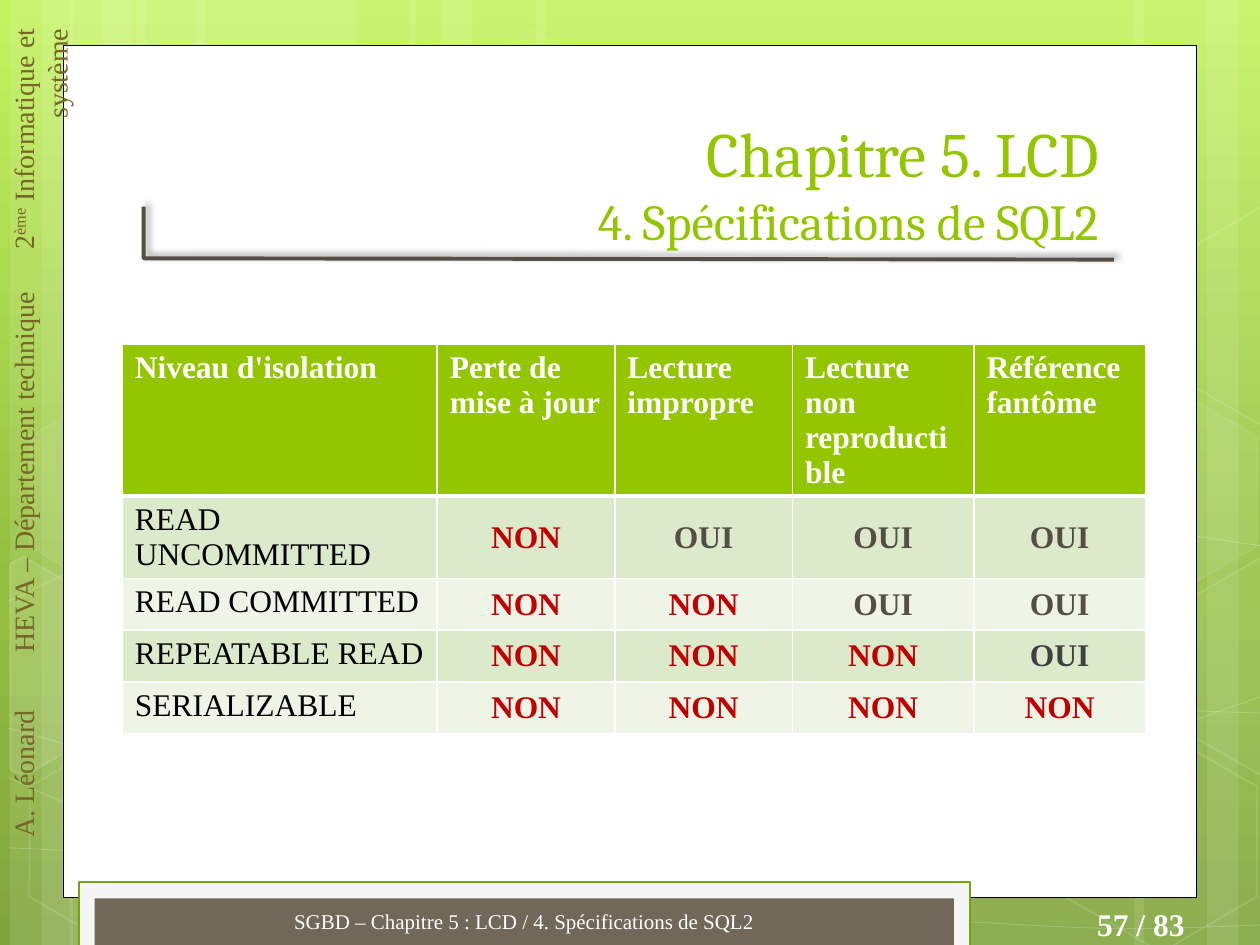
import copy
import math
from lxml import etree
from pptx import Presentation, util as u
from pptx.dml.color import RGBColor
from pptx.enum import shapes, text
from pptx.oxml import parse_xml
from pptx.oxml.ns import qn

NS = 'xmlns:a="http://schemas.openxmlformats.org/drawingml/2006/main"'
SERIF, TITLE_FONT = "Times New Roman", "Cambria"
WIDTH, HEIGHT = 10, 7.5
COLOURS = {
    "white": "FFFFFF", "black": "000000", "green": "94C600", "border": "74A510",
    "panel": "F5F5F5", "footer": "71685A", "side": "776627", "dark": "554E44",
    "red": "C00000", "grey": "404040", "band1": "DCEACC", "band2": "EEF5E7",
    "sky": "C3F35F", "meadow": "93BF3F", "moss": "81A53E",
}

# Content
TITLE = [("Chapitre 5. LCD", 36), ("4. Spécifications de SQL2", 28.8)]
FOOTER = "SGBD – Chapitre 5 : LCD / 4. Spécifications de SQL2"
PAGE = "57 / 83"
SUPERSCRIPT = "ème"
SIDE_TEXTS = [  # top, height, runs
    (5.54, 1.3, ["A. Léonard"]),
    (2.22, 3.2, ["HEVA – Département technique"]),
    (0.13, 2.05, ["2", SUPERSCRIPT, " Informatique et système"]),
]
HEADER = ["Niveau d'isolation", "Perte de mise à jour", "Lecture impropre",
          "Lecture non reproductible", "Référence fantôme"]
LEVELS = {
    "READ UNCOMMITTED": ["NON", "OUI", "OUI", "OUI"],
    "READ COMMITTED": ["NON", "NON", "OUI", "OUI"],
    "REPEATABLE READ": ["NON", "NON", "NON", "OUI"],
    "SERIALIZABLE": ["NON", "NON", "NON", "NON"],
}
ANSWER_COLOURS = {"NON": "red", "OUI": "dark"}
SPECIAL_COLOURS = {("REPEATABLE READ", 4): "grey"}
COLUMN_WIDTHS = [2.5, 1.41, 1.41, 1.44, 1.36]
ROW_HEIGHT = 0.41

# Background pattern
GRADIENT = [(0, "sky"), (62, "meadow"), (100, "moss")]
STRIPE_GROUPS = [(0.08, 1.75), (0.55, 1.75), (3.25, 3.08)]  # left, width of the widest stripe
RIGHT_STRIPES = [(7.33, 1.75), (9.58, 0.5), (9, 0.83)]
CURVE_KNOTS = {
    "low rise": [(0.07, 6.73), (1.9, 6.78), (4.58, 6.65), (7.92, 6.17), (10.07, 5.51)],
    "middle arch": [(0.07, 4.77), (1.21, 4.31), (3.47, 3.87), (6.54, 3.87), (10.07, 4.34)],
    "corner": [(0.06, 6.17), (1.7, 6.89), (3.34, 7.49)],
    "long fall": [(0.07, 5.78), (3.57, 6.73), (6.28, 7.18), (8.53, 7.36), (10.07, 7.34)],
    "high rise": [(2.42, 7.49), (3.02, 6.91), (3.88, 6.39), (4.7, 6.09), (6.08, 5.78),
                  (7.94, 5.62), (10.06, 5.66)],
}
# Honeycomb: rows are counted upwards from the bottom, odd rows sit half a column aside
HEXAGON_WIDTH, HEXAGON_HEIGHT = 1.75, 1.52
COLUMN_STEP, ROW_STEP, BOTTOM_TOP = 1.62, 1.39, 5.92
LEFT_COMB, RIGHT_COMB = 0.12, 8.34
HEXAGONS = [  # comb, column, row, fill opacity, line opacity
    (LEFT_COMB, 2, 4, 4, 8), (LEFT_COMB, 3, 0, 6, 12), (LEFT_COMB, 0, 0, 0, 12),
    (LEFT_COMB, 0, 2, 7, 8), (LEFT_COMB, 1, 0, 0, 12), (RIGHT_COMB, -0.5, 1, 10, 12),
    (RIGHT_COMB, 0, 0, 0, 12), (RIGHT_COMB, 0, 2, 7, 8),
]
CUT_HEXAGONS = [  # comb, column, row, x of the cut, side that stays, fill opacity
    (LEFT_COMB, -0.5, 1, 0.08, 1, 10), (RIGHT_COMB, 0.5, 1, 10.09, -1, 4),
    (RIGHT_COMB, 0.5, 3, 10.09, -1, 0),
]


def inches(*values):
    return [u.Inches(value) for value in values]


def rgb(name):
    return RGBColor.from_string(COLOURS[name])


def set_colour(fill, name, owner, opacity):
    """Fill with a named colour, or none; owner is the XML element that holds the fill."""
    if name is None or opacity == 0:
        fill.background()
        return
    fill.solid()
    fill.fore_color.rgb = rgb(name)
    if opacity < 100:
        colour = owner.find(qn("a:solidFill"))[0]
        etree.SubElement(colour, qn("a:alpha")).set("val", str(opacity * 1000))


def paint(shape, fill=None, line=None, width=1, fill_opacity=100, line_opacity=100):
    shape.shadow.inherit = False
    properties = shape._element.spPr
    set_colour(shape.fill, fill, properties, fill_opacity)
    shape.line.width = u.Pt(width)
    set_colour(shape.line.fill, line, properties.find(qn("a:ln")), line_opacity)


def write(paragraph, content, size=18, colour="white", font=SERIF, bold=False, align="LEFT"):
    paragraph.alignment = text.PP_ALIGN[align]
    run = paragraph.add_run()
    run.text = content
    run.font.size, run.font.name, run.font.bold = u.Pt(size), font, bold
    run.font.color.rgb = rgb(colour)
    return run


def add_box(slide, place, anchor="TOP"):
    frame = slide.shapes.add_textbox(*inches(*place)).text_frame
    frame.word_wrap = True
    frame.vertical_anchor = text.MSO_ANCHOR[anchor]
    return frame


def add_preset(slide, kind, place, **look):
    shape = slide.shapes.add_shape(shapes.MSO_SHAPE[kind], *inches(*place))
    paint(shape, **look)
    return shape


def add_outline(slide, points, close=False, **look):
    builder = slide.shapes.build_freeform(*inches(*points[0]))
    builder.add_line_segments([inches(*point) for point in points[1:]], close=close)
    shape = builder.convert_to_shape()
    paint(shape, **look)
    return shape


def add_curve(slide, knots, **look):
    """Draw a smooth line: each handle follows the direction between a knot's neighbours."""
    ends = [knots[0], *knots, knots[-1]]
    points = [knots[0]]
    for before, start, end, after in zip(ends, ends[1:], ends[2:], ends[3:]):
        points.append([s + (e - b) / 6 for b, s, e in zip(before, start, end)])
        points.append([e - (a - s) / 6 for s, e, a in zip(start, end, after)])
        points.append(end)
    shape = add_outline(slide, points, **look)
    path = next(shape._element.iter(qn("a:path")))
    segments = path.findall(qn("a:lnTo"))
    for first in range(0, len(segments), 3):
        bezier = etree.SubElement(path, qn("a:cubicBezTo"))
        for segment in segments[first:first + 3]:
            bezier.append(segment[0])
            path.remove(segment)


def comb_place(comb, column, row):
    return comb + column * COLUMN_STEP, BOTTOM_TOP - row * ROW_STEP


def cut_hexagon(left, top, cut, side):
    """Return the corners of an upright hexagon whose part beyond x = cut is removed."""
    radius = HEXAGON_WIDTH / 2
    x, y = left + radius, top + HEXAGON_HEIGHT / 2
    far = x + side * radius * math.cos(math.pi / 6)
    cut_half = radius - abs(cut - x) / math.sqrt(3)
    upper = [(cut, cut_half), (x, radius), (far, radius / 2)]
    return [(px, y - half) for px, half in upper] + [(px, y + half) for px, half in reversed(upper)]


def draw_gradient(slide):
    slide.background.fill.gradient()
    gradient = next(slide.background._cSld.iter(qn("a:gradFill")))
    for child in list(gradient):
        gradient.remove(child)
    stops = "".join(f'<a:gs pos="{position * 1000}"><a:srgbClr val="{COLOURS[name]}"/></a:gs>'
                    for position, name in GRADIENT)
    gradient.append(parse_xml(f"<a:gsLst {NS}>{stops}</a:gsLst>"))
    gradient.append(parse_xml(f'<a:lin {NS} ang="5400000" scaled="0"/>'))


def draw_pattern(slide):
    stripes = [stripe for left, widest in STRIPE_GROUPS
               for stripe in ((left + 1, widest), (left, 0.5), (left + 0.25, 0.83))]
    for left, width in stripes + RIGHT_STRIPES:
        add_preset(slide, "RECTANGLE", (left, 0, width, HEIGHT), fill="white", fill_opacity=10)
    for knots in CURVE_KNOTS.values():
        add_curve(slide, knots, line="white", width=0.5, line_opacity=20)
    for comb, column, row, fill_opacity, line_opacity in HEXAGONS:
        place = (*comb_place(comb, column, row), HEXAGON_WIDTH, HEXAGON_HEIGHT)
        hexagon = add_preset(slide, "HEXAGON", place, fill="white", line="white",
                             fill_opacity=fill_opacity, line_opacity=line_opacity)
        hexagon.rotation = 30
        hexagon.adjustments[0] = 0.285
    for comb, column, row, cut, side, opacity in CUT_HEXAGONS:
        corners = cut_hexagon(*comb_place(comb, column, row), cut, side)
        add_outline(slide, corners, close=True, fill="white", line="white",
                    fill_opacity=opacity, line_opacity=12)


def draw_frame(slide):
    add_preset(slide, "RECTANGLE", (0.5, 0.36, 9, 6.76), fill="white", line="black", width=0.5)
    add_preset(slide, "RECTANGLE", (0.63, 7, 7.07, 0.51), fill="panel", line="border", width=1.25)
    add_preset(slide, "RECTANGLE", (0.75, 7.13, 6.82, 0.38), fill="footer")
    for top, height, runs in SIDE_TEXTS:
        frame = add_box(slide, (0, top, 0.47, height))
        frame._txBody.bodyPr.set("vert", "vert270")
        for content in runs:
            run = write(frame.paragraphs[0], content, size=16, colour="side", align="RIGHT")
            if content == SUPERSCRIPT:
                run.font._element.set("baseline", "30000")
    write(add_box(slide, (8.21, 7.13, 1.29, 0.4)).paragraphs[0], PAGE, bold=True, align="RIGHT")


def draw_title(slide):
    corner = add_outline(slide, [(1.14, 1.64), (1.14, 2.05), (8.84, 2.06)], line="dark", width=2.25)
    corner._element.spPr.find(qn("a:effectLst")).append(parse_xml(
        f'<a:outerShdw {NS} blurRad="{u.Pt(4)}" dist="{u.Pt(3)}" dir="18900000">'
        '<a:srgbClr val="000000"><a:alpha val="40000"/></a:srgbClr></a:outerShdw>'))
    title = slide.shapes.title
    title.left, title.top, title.width, title.height = inches(1.14, 0.79, 7.68, 1.25)
    frame = title.text_frame
    frame.auto_size, frame.vertical_anchor = text.MSO_AUTO_SIZE.NONE, text.MSO_ANCHOR.BOTTOM
    paragraph = frame.paragraphs[0]
    for content, size in TITLE:
        if paragraph.runs:
            paragraph.add_line_break()
            line_break = paragraph._p.find(qn("a:br"))
            line_break.append(copy.deepcopy(paragraph.runs[-1].font._element))
        write(paragraph, content, size=size, colour="green", font=TITLE_FONT, align="RIGHT")
    slide.shapes._spTree.append(title._element)  # bring in front of the white panel


def format_cell(cell, fill, top=1, bottom=1):
    for side, width in {"L": 1, "R": 1, "T": top, "B": bottom}.items():
        cell._tc.get_or_add_tcPr().append(parse_xml(
            f'<a:ln{side} {NS} w="{u.Pt(width)}"><a:solidFill>'
            f'<a:srgbClr val="{COLOURS["white"]}"/></a:solidFill></a:ln{side}>'))
    cell.fill.solid()
    cell.fill.fore_color.rgb = rgb(fill)


def draw_table(slide):
    row_count = 1 + len(LEVELS)
    place = inches(0.97, 2.73, sum(COLUMN_WIDTHS), ROW_HEIGHT * row_count)
    table = slide.shapes.add_table(row_count, len(COLUMN_WIDTHS), *place).table
    for column, width in zip(table.columns, COLUMN_WIDTHS):
        column.width = u.Inches(width)
    for cell, heading in zip(table.rows[0].cells, HEADER):
        format_cell(cell, "green", bottom=3)
        write(cell.text_frame.paragraphs[0], heading, bold=True)
    for r, (level, answers) in enumerate(LEVELS.items(), start=1):
        for c, content in enumerate([level, *answers]):
            cell = table.cell(r, c)
            format_cell(cell, "band1" if r % 2 else "band2", top=3 if r == 1 else 1)
            paragraph = cell.text_frame.paragraphs[0]
            if c == 0:
                write(paragraph, content, colour="black")
                continue
            cell.vertical_anchor = text.MSO_ANCHOR.MIDDLE
            colour = SPECIAL_COLOURS.get((level, c), ANSWER_COLOURS[content])
            write(paragraph, content, colour=colour, bold=True, align="CENTER")


def main():
    presentation = Presentation()
    presentation.slide_width, presentation.slide_height = inches(WIDTH, HEIGHT)
    slide = presentation.slides.add_slide(presentation.slide_layouts[5])
    for draw in (draw_gradient, draw_pattern, draw_frame, draw_title, draw_table):
        draw(slide)
    footer = add_box(slide, (0.75, 7.11, 6.82, 0.4), "MIDDLE")
    write(footer.paragraphs[0], FOOTER, size=12, align="CENTER")
    presentation.save("out.pptx")


if __name__ == "__main__":
    main()
